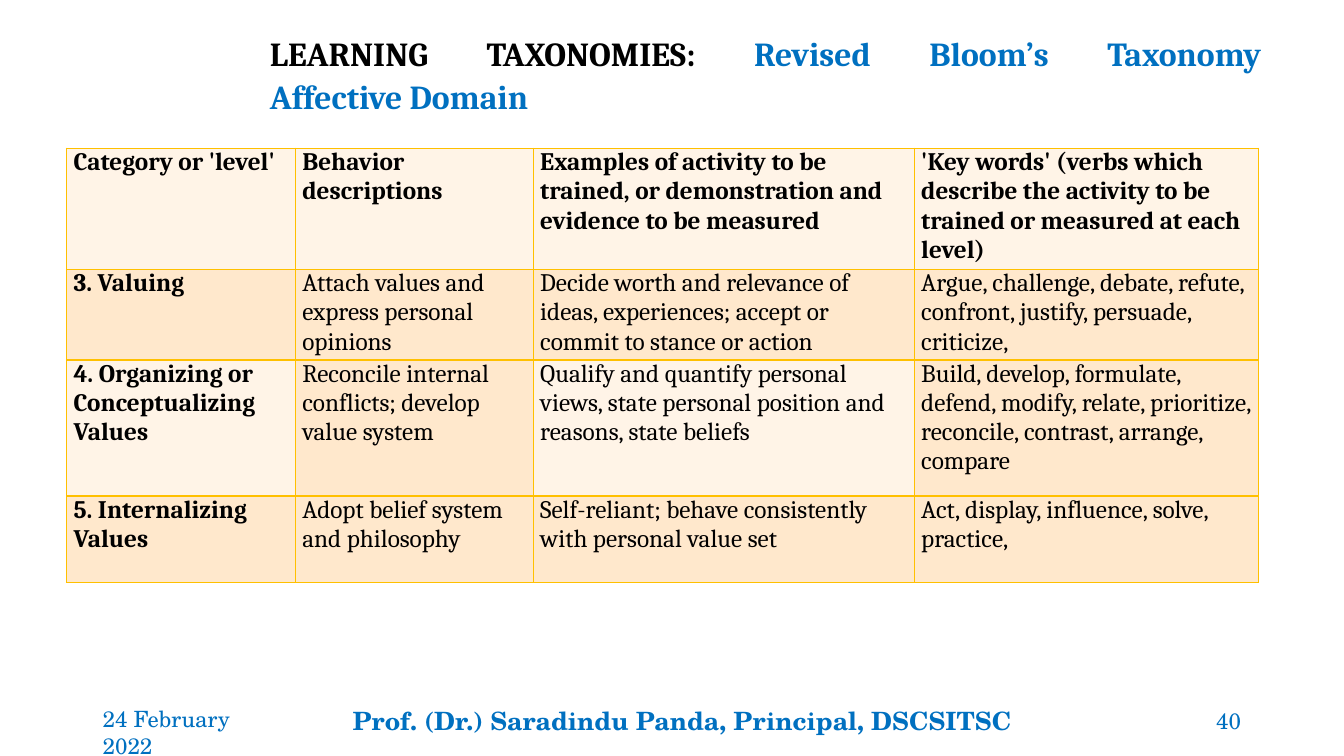
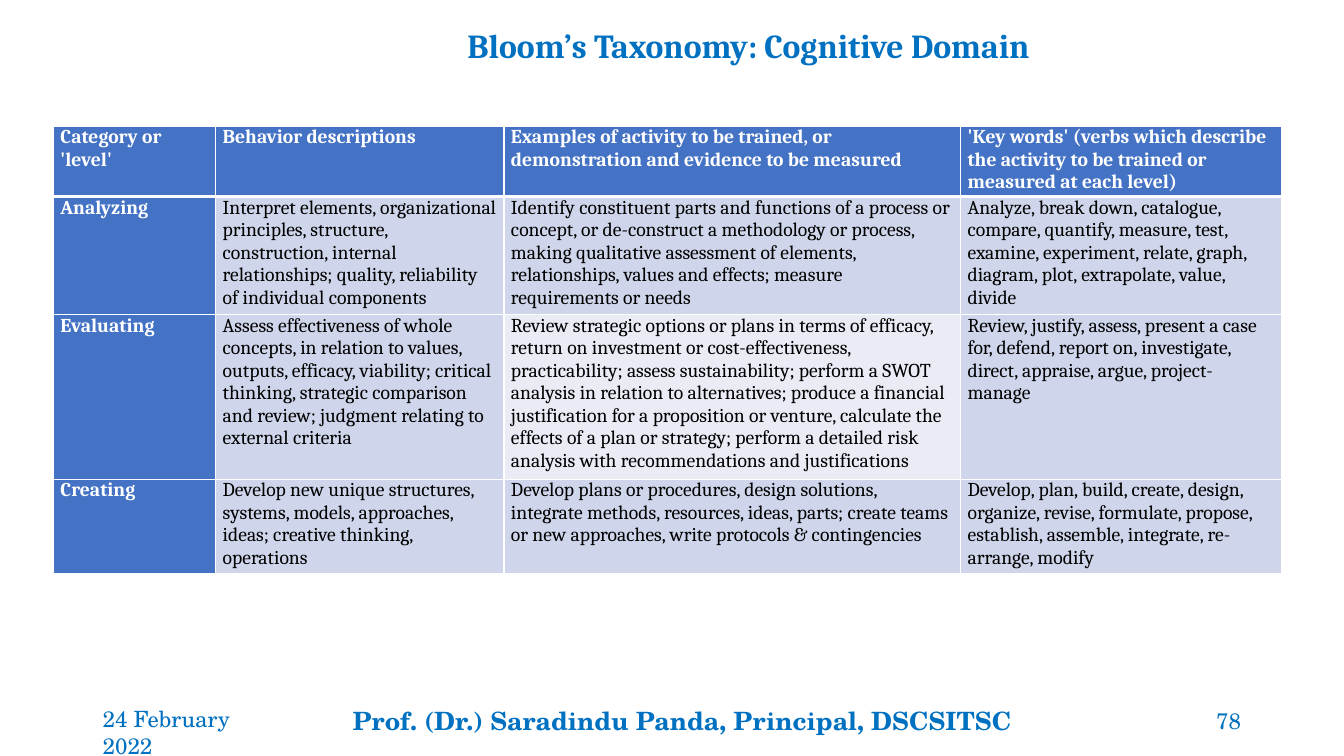
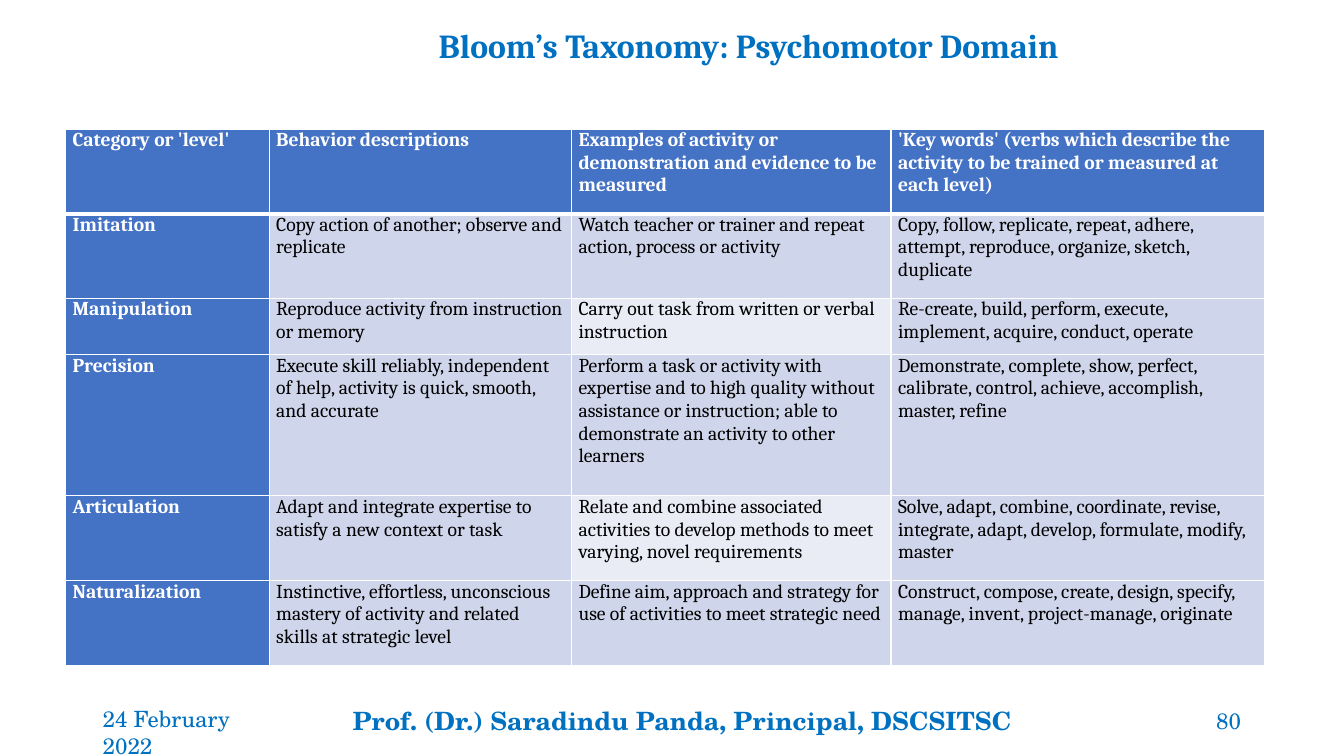
from lxml import etree
from pptx import Presentation
from pptx.dml.color import RGBColor
from pptx.enum.text import MSO_ANCHOR, PP_ALIGN
from pptx.oxml.ns import qn
from pptx.util import Inches, Pt

LEFT, CENTER, RIGHT, JUSTIFY = PP_ALIGN.LEFT, PP_ALIGN.CENTER, PP_ALIGN.RIGHT, PP_ALIGN.JUSTIFY
TOP, MIDDLE, BOTTOM = MSO_ANCHOR.TOP, MSO_ANCHOR.MIDDLE, MSO_ANCHOR.BOTTOM

BLACK = RGBColor(0x00, 0x00, 0x00)
WHITE = RGBColor(0xFF, 0xFF, 0xFF)
ACCENT = RGBColor(0x00, 0x70, 0xC0)
GOLD = RGBColor(0xFF, 0xC0, 0x00)
CREAM = RGBColor(0xFF, 0xF4, 0xE7)
PEACH = RGBColor(0xFF, 0xE8, 0xCC)
BLUE = RGBColor(0x44, 0x72, 0xC4)
BLUE_BAND = RGBColor(0xCF, 0xD5, 0xEA)
BLUE_PALE = RGBColor(0xE9, 0xEB, 0xF5)

BODY_FONT, FOOTER_FONT = "Cambria", "TeX Gyre Schola"

prs = Presentation()
prs.slide_width, prs.slide_height = Inches(13.33), Inches(7.5)

# Grid of 40 columns by 30 rows
COL, ROW = prs.slide_width / 40, prs.slide_height / 30

# Table looks: label is the first column, band and pale alternate in the body
WARM = dict(size=18, border=GOLD, header=CREAM, label=PEACH, label_pale=CREAM,
            band=PEACH, pale=CREAM, heading_text=BLACK, header_rule=1)
COOL = dict(size=14, border=WHITE, header=BLUE, label=BLUE, label_pale=BLUE,
            band=BLUE_BAND, pale=BLUE_PALE, heading_text=WHITE, header_rule=3)

# Title areas: left, top, width, height in grid units
TALL_TITLE = (7.74, 1.32, 30.09, 3.48)
SHORT_TITLE = (7.5, 0.72, 29.55, 2.08)

KEY_WORDS = "'Key words' (verbs which describe the activity to be trained or measured at each level)"
HEADINGS = ["Category or 'level'", "Behavior descriptions",
            "Examples of activity to be trained, or demonstration and evidence to be measured", KEY_WORDS]

SLIDES = [
    dict(
        number="40", title_area=TALL_TITLE, title_align=JUSTIFY, title_spacing=1.07,
        title=[("LEARNING TAXONOMIES: ", BODY_FONT, 24, BLACK, True),
               ("Revised Bloom’s Taxonomy\vAffective Domain", BODY_FONT, 24, ACCENT, True)],
        look=WARM, corner=(1.98, 5.88),
        columns=[6.81, 7.08, 11.34, 10.26], rows=[3.76, 3.16, 5.4, 3.44],
        cells=[
            HEADINGS,
            ["3. Valuing", "Attach values and express personal opinions",
             "Decide worth and relevance of ideas, experiences; accept or commit to stance or action",
             "Argue, challenge, debate, refute, confront, justify, persuade, criticize,"],
            ["4. Organizing or Conceptualizing Values",
             "Reconcile internal conflicts; develop value system",
             "Qualify and quantify personal views, state personal position and reasons, state beliefs",
             "Build, develop, formulate, defend, modify, relate, prioritize, reconcile, contrast, "
             "arrange, compare"],
            ["5. Internalizing Values", "Adopt belief system and philosophy",
             "Self-reliant; behave consistently with personal value set",
             "Act, display, influence, solve, practice,"],
        ]),
    dict(
        number="78", title_area=SHORT_TITLE, title_align=CENTER, title_spacing=0.9,
        title=[("Bloom’s Taxonomy:", BODY_FONT, 24, ACCENT, True),
               (" ", "Arial", 18, BLACK, True),
               ("Cognitive Domain", BODY_FONT, 24, ACCENT, True)],
        look=COOL, corner=(1.59, 5),
        columns=[4.83, 8.58, 13.59, 9.54], rows=[2.24, 2.96, 5.2, 2.96],
        cells=[
            HEADINGS,
            ["Analyzing",
             "Interpret elements, organizational principles, structure, construction, internal "
             "relationships; quality, reliability of individual components",
             "Identify constituent parts and functions of a process or concept, or de-construct a "
             "methodology or process, making qualitative assessment of elements, relationships, "
             "values and effects; measure requirements or needs",
             "Analyze, break down, catalogue, compare, quantify, measure, test, examine, experiment, "
             "relate, graph, diagram, plot, extrapolate, value, divide"],
            ["Evaluating",
             "Assess effectiveness of whole concepts, in relation to values, outputs, efficacy, "
             "viability; critical thinking, strategic comparison and review; judgment relating to "
             "external criteria",
             "Review strategic options or plans in terms of efficacy, return on investment or "
             "cost-effectiveness, practicability; assess sustainability; perform a SWOT analysis in "
             "relation to alternatives; produce a financial justification for a proposition or "
             "venture, calculate the effects of a plan or strategy; perform a detailed risk analysis "
             "with recommendations and justifications",
             "Review, justify, assess, present a case for, defend, report on, investigate, direct, "
             "appraise, argue, project-manage"],
            ["Creating",
             "Develop new unique structures, systems, models, approaches, ideas; creative thinking, "
             "operations",
             "Develop plans or procedures, design solutions, integrate methods, resources, ideas, "
             "parts; create teams or new approaches, write protocols & contingencies",
             "Develop, plan, build, create, design, organize, revise, formulate, propose, establish, "
             "assemble, integrate, re-arrange, modify"],
        ]),
    dict(
        number="80", title_area=SHORT_TITLE, title_align=CENTER, title_spacing=0.9,
        title=[("Bloom’s Taxonomy: Psychomotor Domain", BODY_FONT, 24, ACCENT, True)],
        look=COOL, corner=(1.95, 5.12),
        columns=[6.06, 9, 9.51, 11.13], rows=[3.36, 3.36, 2.24, 5.6, 3.36, 3.36],
        cells=[
            HEADINGS[:2] + ["Examples of activity or demonstration and evidence to be measured", KEY_WORDS],
            ["Imitation", "Copy action of another; observe and replicate",
             "Watch teacher or trainer and repeat action, process or activity",
             "Copy, follow, replicate, repeat, adhere, attempt, reproduce, organize, sketch, duplicate"],
            ["Manipulation", "Reproduce activity from instruction or memory",
             "Carry out task from written or verbal instruction",
             "Re-create, build, perform, execute, implement, acquire, conduct, operate"],
            ["Precision",
             "Execute skill reliably, independent of help, activity is quick, smooth, and accurate",
             "Perform a task or activity with expertise and to high quality without assistance or "
             "instruction; able to demonstrate an activity to other learners",
             "Demonstrate, complete, show, perfect, calibrate, control, achieve, accomplish, master, "
             "refine"],
            ["Articulation", "Adapt and integrate expertise to satisfy a new context or task",
             "Relate and combine associated activities to develop methods to meet varying, novel "
             "requirements",
             "Solve, adapt, combine, coordinate, revise, integrate, adapt, develop, formulate, modify, "
             "master"],
            ["Naturalization",
             "Instinctive, effortless, unconscious mastery of activity and related skills at strategic "
             "level",
             "Define aim, approach and strategy for use of activities to meet strategic need",
             "Construct, compose, create, design, specify, manage, invent, project-manage, originate"],
        ]),
]


def write(frame, runs, align=LEFT, spacing=None):
    """Fill the first paragraph of a frame; a \\v in a run's text breaks the line."""
    paragraph = frame.paragraphs[0]
    paragraph.alignment = align
    paragraph.line_spacing = spacing
    for text, font, size, color, bold in runs:
        for i, line in enumerate(text.split("\v")):
            if i:
                paragraph.add_line_break()
            run = paragraph.add_run()
            run.text = line
            run.font.name, run.font.size, run.font.bold = font, Pt(size), bold
            run.font.color.rgb = color


def add_text(slide, area, runs, align=LEFT, anchor=TOP, spacing=None):
    """Add a wrapping text box at an area given in grid units."""
    left, top, width, height = area
    box = slide.shapes.add_textbox(round(left * COL), round(top * ROW),
                                   round(width * COL), round(height * ROW))
    box.text_frame.word_wrap = True
    box.text_frame.vertical_anchor = anchor
    write(box.text_frame, runs, align, spacing)


for content in SLIDES:
    slide = prs.slides.add_slide(prs.slide_layouts[6])
    look = content["look"]

    # Title
    add_text(slide, content["title_area"], content["title"],
             content["title_align"], BOTTOM, content["title_spacing"])

    # Taxonomy table
    left, top = content["corner"]
    columns, rows = content["columns"], content["rows"]
    taxonomy = slide.shapes.add_table(len(rows), len(columns), round(left * COL), round(top * ROW),
                                      round(sum(columns) * COL), round(sum(rows) * ROW)).table
    taxonomy.first_row = taxonomy.horz_banding = False
    for column, width in zip(taxonomy.columns, columns):
        column.width = round(width * COL)
    for row, height in zip(taxonomy.rows, rows):
        row.height = round(height * ROW)

    for r, texts in enumerate(content["cells"]):
        for c, text in enumerate(texts):
            cell = taxonomy.cell(r, c)
            cell.margin_left = cell.margin_right = Inches(0.07)
            cell.margin_top = cell.margin_bottom = 0
            heading = r == 0 or c == 0
            write(cell.text_frame, [(text, BODY_FONT, look["size"],
                                     look["heading_text"] if heading else BLACK, heading)])

            # Borders, with a heavier rule under the header
            properties = cell._tc.get_or_add_tcPr()
            for side in ("L", "R", "T", "B"):
                under_header = (r, side) in ((0, "B"), (1, "T"))
                points = look["header_rule"] if under_header else 1
                line = etree.SubElement(properties, qn(f"a:ln{side}"), w=str(Pt(points)))
                solid = etree.SubElement(line, qn("a:solidFill"))
                etree.SubElement(solid, qn("a:srgbClr"), val=str(look["border"]))

            # Fill: even rows turn pale in every other column
            pale = r % 2 == 0 and c % 2 == 0
            if r == 0:
                fill = look["header"]
            elif c == 0:
                fill = look["label_pale"] if pale else look["label"]
            else:
                fill = look["pale"] if pale else look["band"]
            cell.fill.solid()
            cell.fill.fore_color.rgb = fill

    # Footer: date, author, slide number
    add_text(slide, (2.76, 27.8, 5.97, 1.6), [("24 February 2022", FOOTER_FONT, 16, ACCENT, False)])
    add_text(slide, (10.2, 27.8, 20.43, 1.6),
             [("Prof. (Dr.) Saradindu Panda, Principal, DSCSITSC", FOOTER_FONT, 18, ACCENT, True)])
    add_text(slide, (32.88, 27.8, 4.35, 1.6),
             [(content["number"], FOOTER_FONT, 16, ACCENT, False)], RIGHT, MIDDLE)

prs.save("out.pptx")
